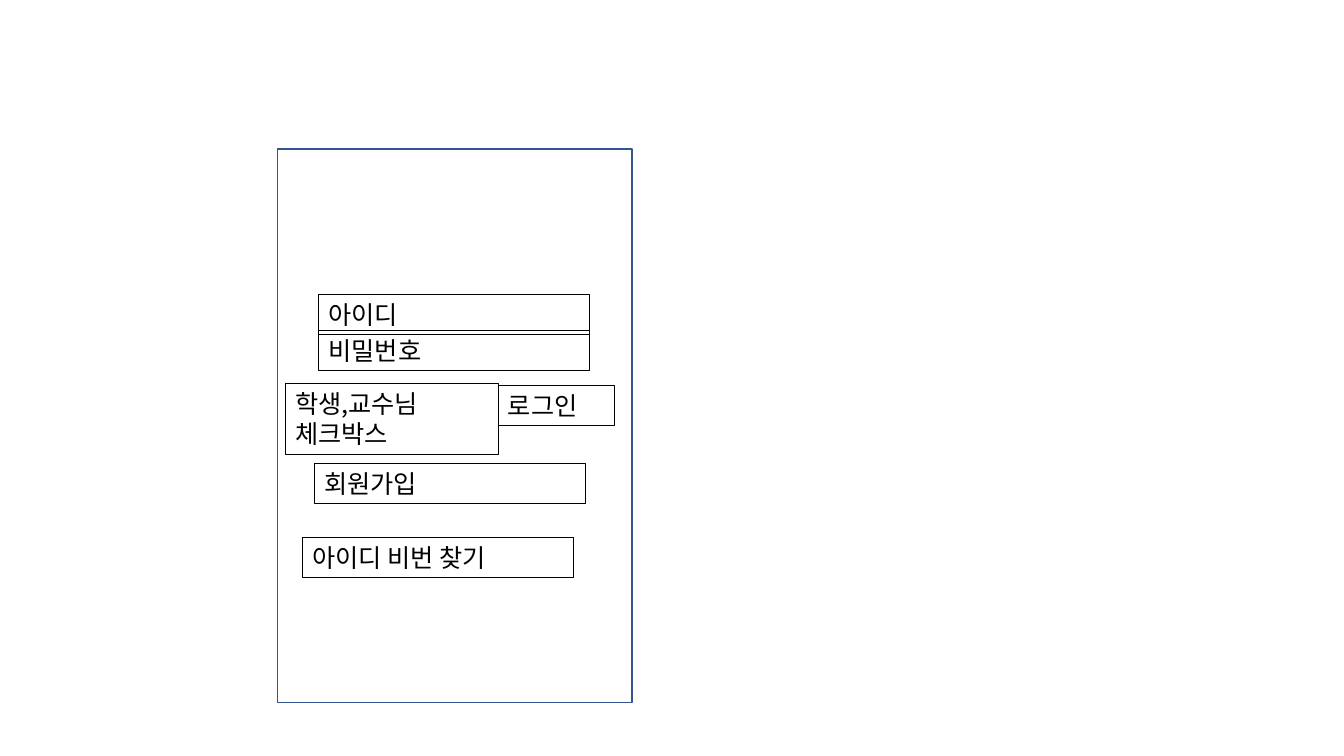
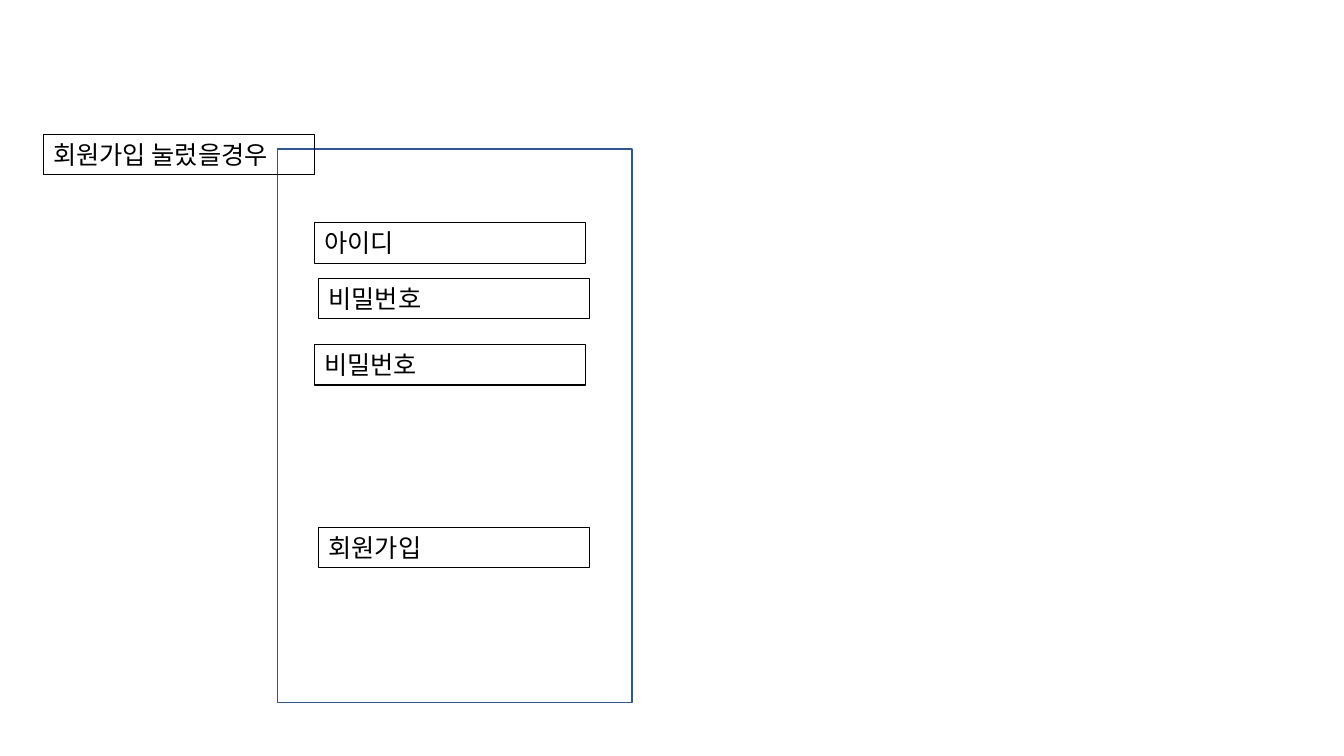
from lxml import etree
from pptx import Presentation
from pptx.dml.color import RGBColor
from pptx.enum.shapes import MSO_SHAPE
from pptx.enum.text import MSO_AUTO_SIZE
from pptx.oxml.ns import qn
from pptx.util import Inches, Pt

RECTANGLE = MSO_SHAPE.RECTANGLE
GROW = MSO_AUTO_SIZE.SHAPE_TO_FIT_TEXT
FONT = "Noto Sans CJK KR"
WHITE, BLACK, BLUE = "FFFFFF", "000000", "325491"

FIELD_WIDTH, FIELD_HEIGHT = 20.18, 5.33
INNER, OUTER = 23.7, 23.4
SCREEN = (20.63, 19.73, 26.4, 73.2)

LOGIN = [
    ("아이디", INNER, 38.93, FIELD_WIDTH, FIELD_HEIGHT),
    ("비밀번호", INNER, 43.73, FIELD_WIDTH, FIELD_HEIGHT),
    ("회원가입", OUTER, 61.33, FIELD_WIDTH, FIELD_HEIGHT),
    ("로그인", 37.06, 50.93, 8.7, FIELD_HEIGHT),
    ("아이디 비번 찾기", 22.5, 71.07, FIELD_WIDTH, FIELD_HEIGHT),
    ("학생,교수님 체크박스", 21.23, 50.67, 15.83, 9.47),
]
SIGN_UP = [
    (label, left, top, FIELD_WIDTH, FIELD_HEIGHT)
    for label, left, top in [
        ("회원가입 눌렀을경우", 3.23, 17.73),
        ("회원가입", INNER, 69.73),
        ("아이디", OUTER, 29.47),
        ("비밀번호", INNER, 36.8),
        ("비밀번호", OUTER, 45.6),
    ]
]

prs = Presentation()
prs.slide_width, prs.slide_height = Inches(13.33), Inches(7.5)


def color(value):
    return RGBColor.from_string(value)


def percent(left, top, width, height):
    column, row = prs.slide_width / 100, prs.slide_height / 100
    return [int(n) for n in (left * column, top * row, width * column, height * row)]


for fields in (LOGIN, SIGN_UP):
    slide = prs.slides.add_slide(prs.slide_layouts[6])
    screen = slide.shapes.add_shape(RECTANGLE, *percent(*SCREEN))
    screen.shadow.inherit = False
    screen.fill.solid()
    screen.fill.fore_color.rgb = color(WHITE)
    screen.line.color.rgb = color(BLUE)
    screen.line.width = Pt(1)

    for label, *box in fields:
        field = slide.shapes.add_textbox(*percent(*box))
        field.line.color.rgb = color(BLACK)
        field.line.width = Pt(0.75)
        field.text_frame.word_wrap = True
        field.text_frame.auto_size = GROW
        paragraph = field.text_frame.paragraphs[0]
        paragraph.text = label
        paragraph.font.size = Pt(18)
        paragraph.font.color.rgb = color(BLACK)
        paragraph.font.name = FONT
        defaults = paragraph._p.pPr.find(qn("a:defRPr"))
        etree.SubElement(defaults, qn("a:ea"), typeface=FONT)

prs.save("out.pptx")
